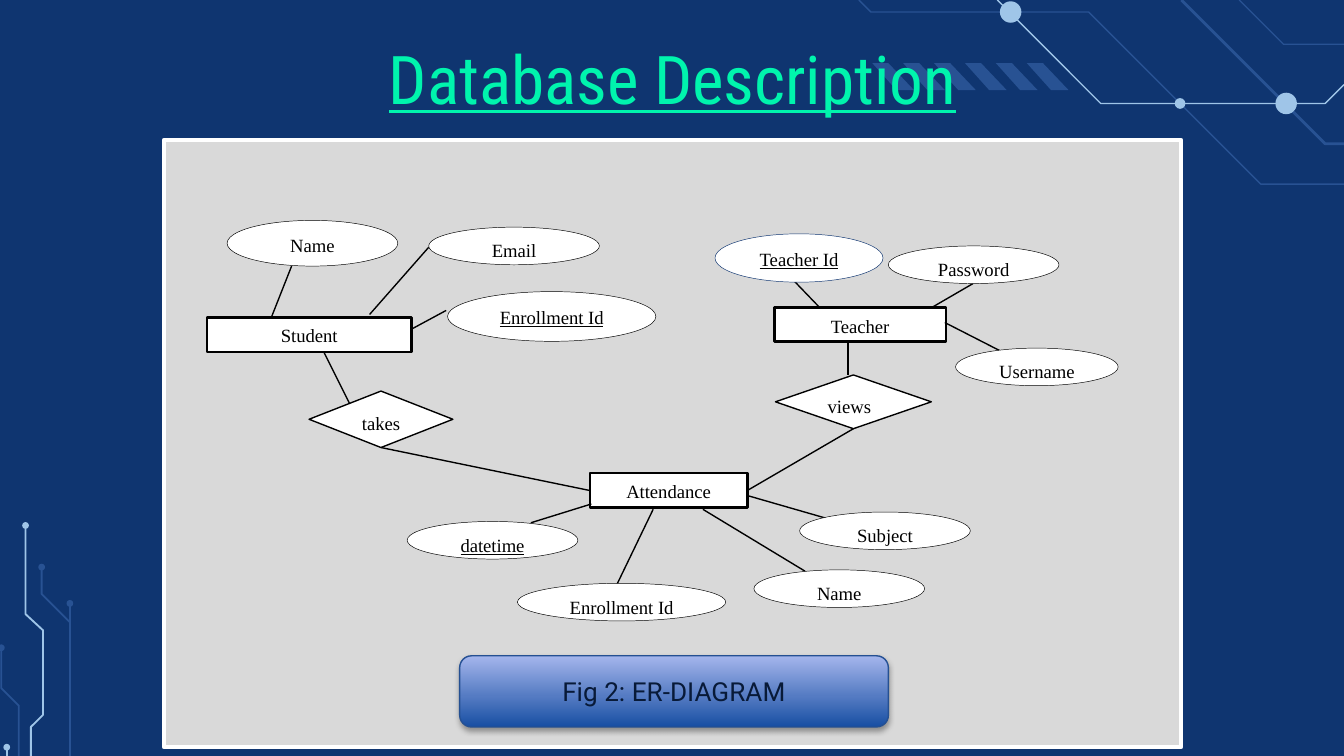
from pptx import Presentation
from pptx.dml.color import RGBColor
from pptx.enum.shapes import MSO_CONNECTOR, MSO_SHAPE as SHAPE
from pptx.enum.text import MSO_ANCHOR as ANCHOR, PP_ALIGN as ALIGN
from pptx.oxml import parse_xml
from pptx.oxml.ns import nsdecls, qn
from pptx.util import Inches, Pt

WIDTH = 10
HEIGHT = WIDTH * 9 / 16
COLORS = {
    "navy": "0F3570", "steel": "285293", "sky": "9FC5E8", "mint": "00F4AD",
    "panel": "D9D9D9", "white": "FFFFFF", "black": "000000",
    "deep": "184FA3", "pale": "A4B5EC", "edge": "255092", "ink": "081A38",
}

# Background circuit: color, line width, points
TRACES = [
    ("steel", 1.5, [(8.79, 0), (9.86, 1.07), (WIDTH, 1.07)]),
    ("sky", 0.75, [(7.42, 0), (8.19, 0.77), (9.86, 0.77), (WIDTH, 0.63)]),
    ("steel", 0.75, [(6.39, 0), (6.48, 0.09), (8.1, 0.09), (9.38, 1.37), (WIDTH, 1.37)]),
    ("steel", 0.75, [(9.22, 0), (9.55, 0.33), (WIDTH, 0.33)]),
    ("sky", 1, [(0.23, HEIGHT), (0.23, 5.41), (0.32, 5.32), (0.32, 4.69),
                (0.19, 4.57), (0.19, 3.91)]),
    ("steel", 1, [(0.52, HEIGHT), (0.52, 4.49)]),
    ("steel", 1, [(0.52, 4.63), (0.31, 4.42), (0.31, 4.22)]),
    ("steel", 1, [(0.14, HEIGHT), (0.14, 5.25), (0.01, 5.12), (0.01, 4.82)]),
    ("sky", 1, [(0.05, HEIGHT), (0.05, 5.56)]),
]
# color, center x, center y, diameter
DOTS = [
    ("sky", 8.78, 0.77, 0.08), ("sky", 7.52, 0.09, 0.16), ("sky", 9.57, 0.77, 0.16),
    ("sky", 0.19, 3.91, 0.05), ("steel", 0.52, 4.49, 0.05), ("steel", 0.31, 4.22, 0.05),
    ("steel", 0.01, 4.82, 0.05), ("sky", 0.05, 5.56, 0.05),
]
STRIPE = [(6.49, 0.47), (6.67, 0.67), (6.8, 0.67), (6.61, 0.47)]
STRIPE_COUNT, STRIPE_STEP = 6, 0.23

# Diagram: text, left, top, width, height
ENTITIES = [
    ("Teacher", 5.76, 2.29, 1.28, 0.25),
    ("Student", 1.54, 2.36, 1.52, 0.26),
    ("Attendance", 4.39, 3.52, 1.17, 0.26),
]
RELATIONS = [
    ("takes", 2.3, 2.91, 1.07, 0.42),
    ("views", 5.77, 2.79, 1.16, 0.4),
]
ATTRIBUTES = [
    ("Username", 7.11, 2.59, 1.21, 0.28),
    ("Password", 6.61, 1.83, 1.27, 0.28),
    ("Email", 3.19, 1.69, 1.27, 0.28),
    ("Enrollment Id", 3.85, 4.34, 1.55, 0.28),
    ("Name", 5.61, 4.24, 1.27, 0.28),
    ("Subject", 5.95, 3.81, 1.27, 0.28),
    ("Name", 1.69, 1.64, 1.27, 0.34),
]
KEYS = [
    ("datetime", 3.03, 3.88, 1.27, 0.28),
    ("Enrollment Id", 3.33, 2.17, 1.55, 0.37),
    ("Teacher Id", 5.32, 1.74, 1.25, 0.36),
]
LINKS = [
    (7.03, 2.4, 7.46, 2.62), (2.41, 2.62, 2.6, 3), (6.31, 2.79, 6.31, 2.54),
    (2.02, 2.36, 2.17, 1.98), (2.75, 2.34, 3.19, 1.84), (3.06, 2.45, 3.32, 2.31),
    (4.4, 3.75, 3.95, 3.89), (4.86, 3.79, 4.59, 4.35), (5.23, 3.79, 5.99, 4.25),
    (5.57, 3.69, 6.16, 3.86), (5.86, 2.04, 6.1, 2.29), (7.24, 2.11, 6.93, 2.29),
]
# from node and side, to node and side
JOINS = [("takes", 2, "Attendance", 1), ("Attendance", 3, "views", 2)]

LABEL = {"name": "Times New Roman", "size": Pt(10)}
TITLE = {"name": "Roboto Condensed", "size": Pt(36), "underline": True}
CAPTION = {"name": "Roboto", "size": Pt(14)}


def rgb(name):
    return RGBColor.from_string(COLORS[name])


def paint(shape, fill=None, line=None, width=0.75):
    """Set fill and outline; None means no fill or no outline."""
    shape.shadow.inherit = False
    if fill:
        shape.fill.solid()
        shape.fill.fore_color.rgb = rgb(fill)
    else:
        shape.fill.background()
    if line:
        shape.line.color.rgb = rgb(line)
        shape.line.width = Pt(width)
    else:
        shape.line.fill.background()


def add_preset(slide, kind, box, **look):
    shape = slide.shapes.add_shape(kind, *map(Inches, box))
    paint(shape, **look)
    return shape


def add_path(slide, points, closed, **look):
    points = [(Inches(x), Inches(y)) for x, y in points]
    builder = slide.shapes.build_freeform(*points[0])
    builder.add_line_segments(points[1:], close=closed)
    paint(builder.convert_to_shape(), **look)


def write(shape, text, font, color, anchor=ANCHOR.TOP, align=ALIGN.CENTER):
    frame = shape.text_frame
    frame.word_wrap = True
    frame.vertical_anchor = anchor
    paragraph = frame.paragraphs[0]
    paragraph.alignment = align
    run = paragraph.add_run()
    run.text = text
    for key, value in font.items():
        setattr(run.font, key, value)
    run.font.color.rgb = rgb(color)


def add_link(slide, ends):
    link = slide.shapes.add_connector(MSO_CONNECTOR.STRAIGHT, *map(Inches, ends))
    link.line.color.rgb = rgb("black")
    link.line.width = Pt(0.75)
    link._element.spPr.append(parse_xml(f"<a:effectLst {nsdecls('a')}/>"))
    return link


def draw_circuit(slide):
    for color, width, points in TRACES:
        add_path(slide, points, False, line=color, width=width)
    for color, x, y, size in DOTS:
        box = (x - size / 2, y - size / 2, size, size)
        add_preset(slide, SHAPE.OVAL, box, fill=color)
    for index in range(STRIPE_COUNT):
        points = [(x + index * STRIPE_STEP, y) for x, y in STRIPE]
        add_path(slide, points, True, fill="steel")


def draw_nodes(slide, items, kind, width, underline=None):
    nodes = {}
    for text, *box in items:
        line = "navy" if text == "Teacher Id" else "black"
        align = ALIGN.LEFT if text == "views" else ALIGN.CENTER
        node = add_preset(slide, kind, box, fill="white", line=line, width=width)
        write(node, text, {**LABEL, "underline": underline}, "black", align=align)
        nodes[text] = node
    return nodes


def draw_diagram(slide):
    add_preset(slide, SHAPE.RECTANGLE, (1.22, 1.04, 7.57, 4.52),
               fill="panel", line="white", width=2)
    nodes = draw_nodes(slide, ENTITIES, SHAPE.RECTANGLE, 1.5)
    nodes.update(draw_nodes(slide, RELATIONS, SHAPE.FLOWCHART_DECISION, 0.75))
    for ends in LINKS:
        add_link(slide, ends)
    for start, start_side, end, end_side in JOINS:
        link = add_link(slide, (0, 0, 0, 0))
        link.begin_connect(nodes[start], start_side)
        link.end_connect(nodes[end], end_side)
    draw_nodes(slide, ATTRIBUTES, SHAPE.OVAL, 0.25)
    draw_nodes(slide, KEYS, SHAPE.OVAL, 0.25, underline=True)


def draw_caption(slide):
    caption = add_preset(slide, SHAPE.ROUNDED_RECTANGLE, (3.42, 4.88, 3.19, 0.53), line="edge")
    caption.fill.gradient()
    caption.fill.gradient_angle = 90
    for stop, color in zip(caption.fill.gradient_stops, ("deep", "pale")):
        stop.color.rgb = rgb(color)
    caption._element.spPr.find(qn("a:effectLst")).append(parse_xml(
        f'<a:outerShdw {nsdecls("a")} blurRad="{Pt(3.1)}" dist="{Pt(1.8)}" dir="5400000">'
        f'<a:srgbClr val="{COLORS["black"]}"><a:alpha val="35000"/></a:srgbClr></a:outerShdw>'))
    write(caption, "Fig 2: ER-DIAGRAM", CAPTION, "ink", ANCHOR.MIDDLE)


def main():
    presentation = Presentation()
    presentation.slide_width, presentation.slide_height = Inches(WIDTH), Inches(HEIGHT)
    slide = presentation.slides.add_slide(presentation.slide_layouts[6])
    slide.background.fill.solid()
    slide.background.fill.fore_color.rgb = rgb("navy")
    draw_circuit(slide)
    title = slide.shapes.add_textbox(*map(Inches, (0.79, 0.28, 8.43, 0.76)))
    for side in ("left", "top", "right", "bottom"):
        setattr(title.text_frame, f"margin_{side}", 0)
    write(title, "Database Description", TITLE, "mint")
    draw_diagram(slide)
    draw_caption(slide)
    presentation.save("out.pptx")


if __name__ == "__main__":
    main()
